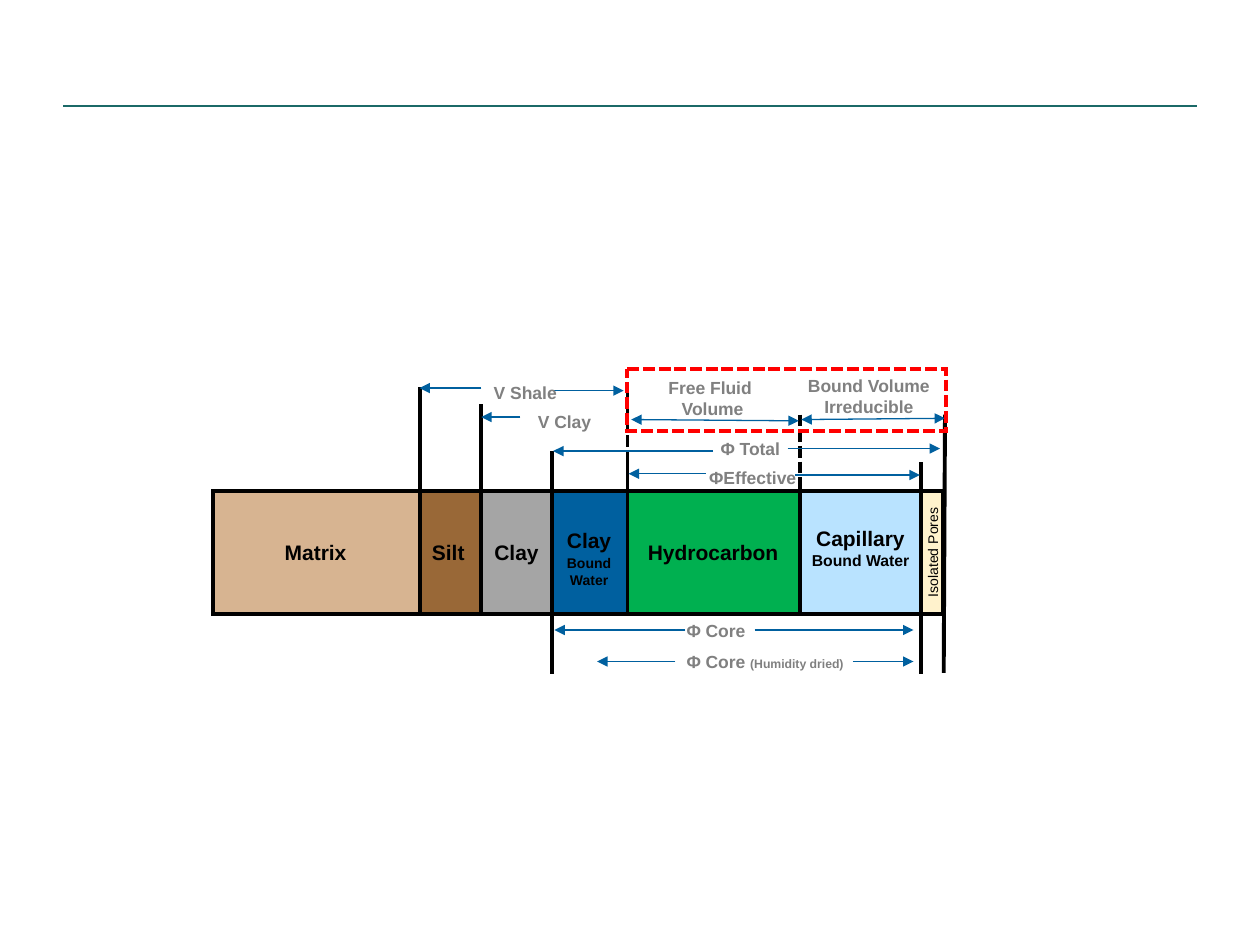
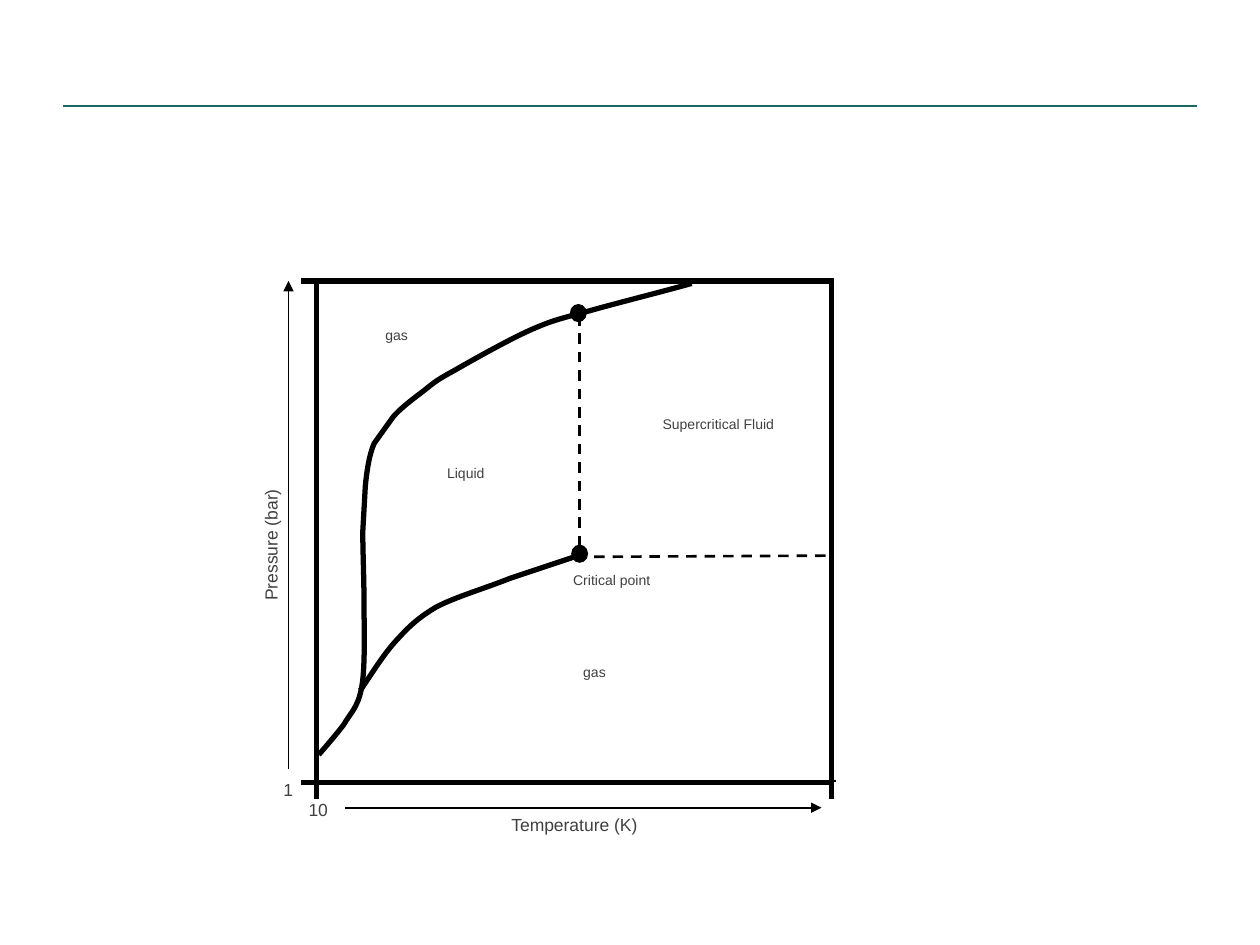
from dataclasses import dataclass
from itertools import pairwise

from lxml.etree import Element, SubElement
from pptx import Presentation
from pptx.dml.color import RGBColor
from pptx.enum.dml import MSO_LINE as Dash
from pptx.enum.shapes import MSO_CONNECTOR as Connector, MSO_SHAPE as Preset
from pptx.enum.text import MSO_ANCHOR as Anchor, PP_ALIGN as Align
from pptx.oxml.ns import qn
from pptx.util import Pt

SCALE = 9144
FONT = "Arial"
COLORS = {
    "rule": "1B6967", "black": "000000", "blue": "00609F", "red": "FF0000",
    "label": "808080", "axis": "404040", "matrix": "D7B491", "silt": "996837",
    "clay": "A5A5A5", "hydrocarbon": "00B050", "capillary": "B9E3FF", "pores": "FFF2CC",
}


@dataclass(frozen=True)
class Span:
    """A run of text and its format."""
    text: str
    size: int = 10
    color: str = "label"
    bold: bool = True


@dataclass(frozen=True)
class Line:
    """A straight line or arrow between two points."""
    x1: int
    y1: int
    x2: int
    y2: int
    color: str = "black"
    width: float = 2.25
    dash: Dash | None = None
    head: bool = False
    tail: bool = False


@dataclass(frozen=True)
class Box:
    """A preset shape with optional fill and outline."""
    left: int
    top: int
    width: int
    height: int
    preset: Preset = Preset.RECTANGLE
    fill: str | None = None
    line: str | None = None
    weight: float = 2.25
    dash: Dash | None = None


@dataclass(frozen=True)
class Label:
    """A text box; each entry of paras is one paragraph of spans."""
    left: int
    top: int
    width: int
    height: int
    paras: tuple[tuple[Span, ...], ...]
    align: Align = Align.LEFT
    rotation: int = 0


@dataclass(frozen=True)
class Segment:
    """A part of the rock volume bar."""
    fill: str
    spans: tuple[Span, ...]
    align: Align = Align.CENTER
    inset: int = 0
    lift: int = 0
    vertical: bool = False


def px(value: int) -> int:
    """Turn px into EMU."""
    return value * SCALE


def rgb(name: str) -> RGBColor:
    """Look up a named colour."""
    return RGBColor.from_string(COLORS[name])


def write(para, text: str, *, size: int, color: str, bold: bool) -> None:
    """Add formatted text to a paragraph."""
    run = para.add_run()
    run.text = text
    run.font.name = FONT
    run.font.size = Pt(size)
    run.font.bold = bold
    run.font.color.rgb = rgb(color)


def fill_para(para, spans: tuple[Span, ...], align: Align) -> None:
    """Write all spans of one paragraph."""
    para.alignment = align
    for span in spans:
        write(para, span.text, size=span.size, color=span.color, bold=span.bold)


def style_line(line, color: str, width: float, dash: Dash | None = None) -> None:
    """Set colour, width and dash of a line."""
    line.color.rgb = rgb(color)
    line.width = Pt(width)
    if dash is not None:
        line.dash_style = dash


def draw_line(page, line: Line) -> None:
    """Draw a connector with its arrowheads."""
    connector = page.shapes.add_connector(
        Connector.STRAIGHT, px(line.x1), px(line.y1), px(line.x2), px(line.y2))
    style_line(connector.line, line.color, line.width, line.dash)
    properties = connector.element.spPr
    outline = properties.find(qn("a:ln"))
    for tag, shown in (("a:headEnd", line.head), ("a:tailEnd", line.tail)):
        if shown:
            SubElement(outline, qn(tag)).set("type", "triangle")
    SubElement(properties, qn("a:effectLst"))


def draw_box(page, box: Box):
    """Draw a preset shape with sharp corners and return it."""
    shape = page.shapes.add_shape(
        box.preset, px(box.left), px(box.top), px(box.width), px(box.height))
    shape.shadow.inherit = False
    if box.fill:
        shape.fill.solid()
        shape.fill.fore_color.rgb = rgb(box.fill)
    else:
        shape.fill.background()
    if box.line:
        style_line(shape.line, box.line, box.weight, box.dash)
        outline = shape.element.spPr.find(qn("a:ln"))
        SubElement(outline, qn("a:miter")).set("lim", "800000")
    else:
        shape.line.fill.background()
    return shape


def draw_label(page, label: Label) -> None:
    """Draw a text box."""
    box = page.shapes.add_textbox(
        px(label.left), px(label.top), px(label.width), px(label.height))
    box.rotation = label.rotation
    frame = box.text_frame
    frame.word_wrap = True
    for index, spans in enumerate(label.paras):
        para = frame.add_paragraph() if index else frame.paragraphs[0]
        fill_para(para, spans, label.align)


def draw_segment(page, segment: Segment, left: int, right: int) -> None:
    """Draw one part of the bar between two edges."""
    shape = draw_box(page, Box(left, BAR_TOP, right - left, BAR_HEIGHT, fill=segment.fill))
    frame = shape.text_frame
    frame.word_wrap = True
    frame.vertical_anchor = Anchor.MIDDLE
    frame.margin_left = px(segment.inset)
    frame.margin_right = frame.margin_top = 0
    frame.margin_bottom = px(segment.lift)
    if segment.vertical:
        shape.element.txBody.bodyPr.set("vert", "vert270")
    fill_para(frame.paragraphs[0], segment.spans, segment.align)


def draw_curve(page, start: tuple[int, int], pieces: tuple[tuple[int, ...], ...]) -> None:
    """Draw an open curve from straight (2 numbers) and cubic (6 numbers) pieces."""
    nodes = [(px(x), px(y)) for piece in pieces for x, y in zip(piece[::2], piece[1::2])]
    builder = page.shapes.build_freeform(px(start[0]), px(start[1]))
    builder.add_line_segments(nodes, close=False)
    shape = builder.convert_to_shape()
    steps = iter(list(shape.element.iter(qn("a:lnTo"))))
    for piece in pieces:
        step = next(steps)
        if len(piece) == 6:
            bend = Element(qn("a:cubicBezTo"))
            step.addprevious(bend)
            for part in (step, next(steps), next(steps)):
                bend.append(part[0])
                part.getparent().remove(part)
    shape.shadow.inherit = False
    shape.fill.background()
    style_line(shape.line, "black", 3)


def arrow(x1: int, y1: int, x2: int, y2: int, head: bool = False) -> Line:
    """Describe a thin blue dimension arrow."""
    return Line(x1, y1, x2, y2, "blue", 0.75, head=head, tail=True)


def heavy(text: str, size: int = 12) -> Span:
    """Describe bold black text for the bar."""
    return Span(text, size, "black")


def caption(left: int, top: int, width: int, text: str, size: int = 8,
            rotation: int = 0) -> Label:
    """Describe a plain label of the phase diagram."""
    return Label(left, top, width, 27, ((Span(text, size, "axis", False),),),
                 rotation=rotation)


BAR_TOP, BAR_HEIGHT = 391, 95
BAR_EDGES = (168, 333, 382, 438, 497, 635, 731, 749)
SEGMENTS = (
    Segment("matrix", (heavy("Matrix"),)),
    Segment("silt", (heavy("Silt"),), align=Align.LEFT, inset=10),
    Segment("clay", (heavy("Clay"),)),
    Segment("blue", (heavy("Clay"), heavy(" ", 18), heavy("Bound Water", 8))),
    Segment("hydrocarbon", (heavy("Hydrocarbon"),)),
    Segment("capillary", (heavy("Capillary "), heavy("Bound Water", 9)), lift=8),
    Segment("pores", (Span("Isolated Pores", 8, "black", False),), vertical=True),
)
BOUNDARIES = (
    Line(635, 329, 635, 392, dash=Dash.SQUARE_DOT),
    Line(333, 307, 333, 487), Line(382, 321, 382, 487), Line(438, 358, 438, 535),
    Line(498, 359, 498, 487), Line(731, 367, 731, 535), Line(750, 329, 749, 534),
    Line(498, 308, 498, 360, dash=Dash.SQUARE_DOT), Line(635, 389, 635, 486),
)
DIMENSIONS = (
    arrow(382, 308, 333, 308), arrow(440, 310, 495, 310), arrow(413, 331, 382, 331),
    arrow(566, 358, 439, 358), arrow(625, 356, 746, 356),
    arrow(560, 376, 499, 376), arrow(631, 377, 730, 377),
    arrow(544, 500, 440, 500), arrow(599, 500, 725, 500),
    arrow(536, 525, 474, 525), arrow(677, 525, 725, 525),
    arrow(634, 334, 501, 333, head=True), arrow(750, 332, 636, 333, head=True),
)
VOLUME_LABELS = (
    Label(382, 298, 78, 23, ((Span("V Shale"),),)),
    Label(417, 321, 65, 23, ((Span("V Clay"),),)),
    Label(562, 343, 79, 23, ((Span("Φ Total"),),)),
    Label(553, 366, 95, 23, ((Span("ΦEffective"),),)),
    Label(535, 487, 79, 23, ((Span("Φ Core"),),)),
    Label(535, 512, 161, 23, ((Span("Φ Core "), Span("(Humidity dried)", 7)),)),
    Label(507, 294, 117, 23, ((Span("Free Fluid "),), (Span("Volume"),)), Align.CENTER),
    Label(615, 293, 149, 23, ((Span("Bound Volume Irreducible"),),), Align.CENTER),
)
VOLUME_FRAMES = (
    Box(169, 390, 579, 97, Preset.FLOWCHART_PROCESS, line="black"),
    Box(498, 293, 253, 49, Preset.FLOWCHART_PROCESS, line="red", dash=Dash.SQUARE_DOT),
)

PLOT = Box(251, 223, 409, 398, Preset.FLOWCHART_PROCESS, line="black", weight=3)
PHASE_LINES = (
    Line(660, 621, 660, 619, width=4.5),
    Line(460, 250, 460, 442, width=1.5, dash=Dash.DASH),
    Line(457, 442, 659, 441, width=1.5, dash=Dash.DASH),
    *(Line(x, 621, x, 634, width=3) for x in (251, 660)),
    *(Line(255, y, 239, y, width=3) for y in (223, 621)),
    Line(274, 641, 652, 641, width=1, tail=True),
    Line(229, 610, 229, 223, width=1, tail=True),
)
MELTING_CURVE = (
    (524, 232, 488, 241, 467, 247), (445, 253, 439, 254, 421, 262),
    (403, 270, 373, 287, 359, 295), (344, 303, 342, 306, 334, 312),
    (326, 318, 317, 325, 312, 331), (297, 352), (293, 361, 291, 375, 290, 386),
    (288, 422), (288, 437, 289, 461, 289, 481), (289, 502, 290, 531, 287, 546),
    (284, 562, 278, 566, 273, 575), (267, 583, 254, 598, 253, 599),
)
BOILING_CURVE = (
    (295, 535, 304, 520, 314, 509), (324, 498, 331, 491, 346, 482),
    (361, 474, 385, 467, 405, 459), (459, 441),
)
POINTS = tuple(Box(x, y, 12, 13, Preset.OVAL, "black", "black", 1)
               for x, y in ((453, 242), (454, 433)))
PHASE_LABELS = (
    caption(215, 613, 75, "1", 10), caption(235, 629, 75, "10", 10),
    caption(396, 641, 138, "Temperature (K)", 10),
    caption(159, 417, 112, "Pressure (bar)", 10, rotation=270),
    caption(445, 449, 112, "Critical point"), caption(516, 325, 112, "Supercritical Fluid"),
    caption(345, 364, 112, "Liquid"), caption(453, 522, 112, "gas"),
    caption(296, 254, 112, "gas"),
)


def add_page(deck):
    """Add a blank page with the shared header rule."""
    page = deck.slides.add_slide(deck.slide_layouts[6])
    draw_line(page, Line(50, 84, 950, 84, "rule", 1))
    return page


def build_volume_page(deck) -> None:
    """Build the rock volume bar with its dimensions."""
    page = add_page(deck)
    for segment, (left, right) in zip(SEGMENTS, pairwise(BAR_EDGES)):
        draw_segment(page, segment, left, right)
    for line in BOUNDARIES + DIMENSIONS:
        draw_line(page, line)
    for label in VOLUME_LABELS:
        draw_label(page, label)
    for frame in VOLUME_FRAMES:
        draw_box(page, frame)


def build_phase_page(deck) -> None:
    """Build the pressure and temperature phase diagram."""
    page = add_page(deck)
    draw_box(page, PLOT)
    for line in PHASE_LINES:
        draw_line(page, line)
    draw_curve(page, (549, 225), MELTING_CURVE)
    draw_curve(page, (286, 548), BOILING_CURVE)
    for point in POINTS:
        draw_box(page, point)
    for label in PHASE_LABELS:
        draw_label(page, label)


def main() -> None:
    """Build and save the deck."""
    deck = Presentation()
    deck.slide_width, deck.slide_height = px(1000), px(750)
    build_volume_page(deck)
    build_phase_page(deck)
    deck.save("out.pptx")


if __name__ == "__main__":
    main()
